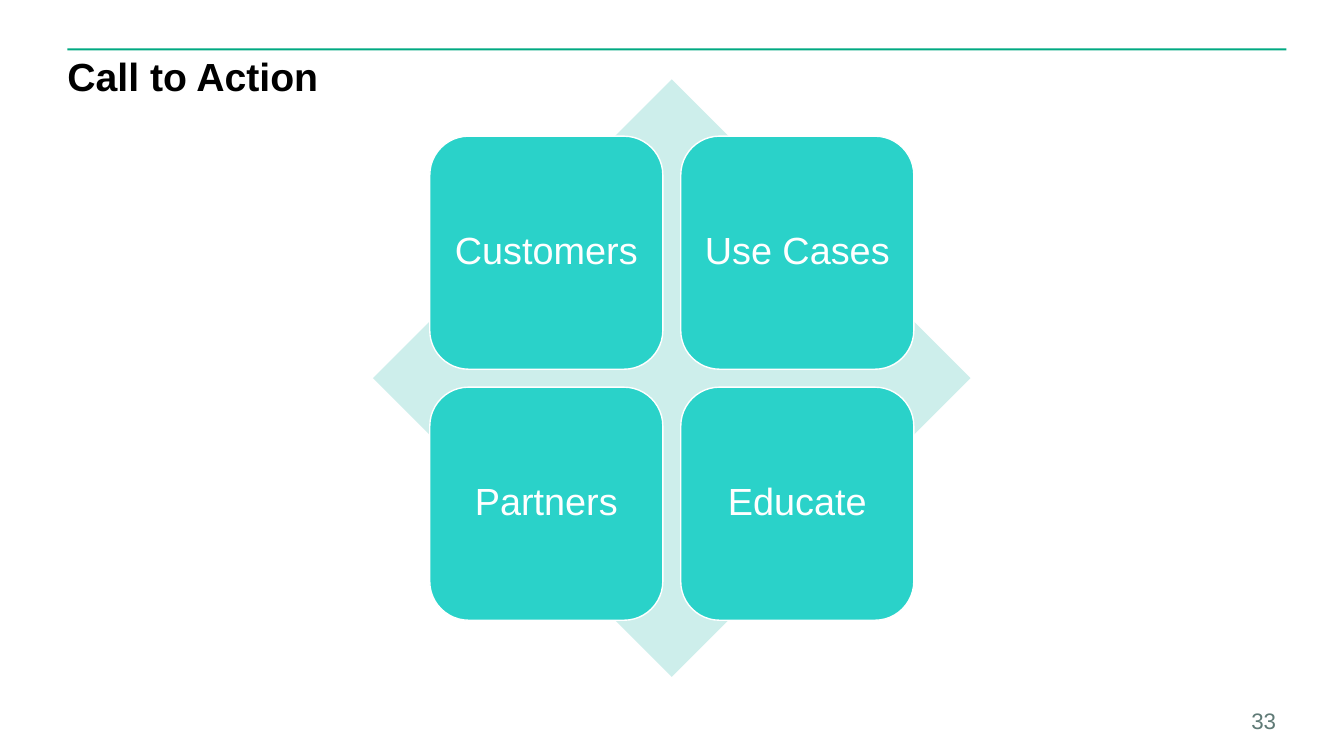
from pptx import Presentation
from pptx.dml.color import RGBColor
from pptx.enum.shapes import MSO_SHAPE
from pptx.enum.text import MSO_ANCHOR, PP_ALIGN
from pptx.util import Cm, Pt

RECT = MSO_SHAPE.RECTANGLE
ROUND = MSO_SHAPE.ROUNDED_RECTANGLE
DIAMOND = MSO_SHAPE.DIAMOND
TOP, MIDDLE, BOTTOM = MSO_ANCHOR.TOP, MSO_ANCHOR.MIDDLE, MSO_ANCHOR.BOTTOM
LEFT, CENTER, RIGHT = PP_ALIGN.LEFT, PP_ALIGN.CENTER, PP_ALIGN.RIGHT

GREEN = RGBColor(0x01, 0xA9, 0x82)
TEAL = RGBColor(0x2A, 0xD2, 0xC9)
PALE = RGBColor(0xCD, 0xEE, 0xEB)
GREY = RGBColor(0x5F, 0x7A, 0x76)
BLACK = RGBColor(0, 0, 0)
WHITE = RGBColor(0xFF, 0xFF, 0xFF)

FONT = "Arial"
CARDS = [["Customers", "Use Cases"], ["Partners", "Educate"]]


def add_block(slide, kind, box, fill, edge=None):
    """Add a filled shape, outlined only when an edge colour is given."""
    shape = slide.shapes.add_shape(kind, *map(Cm, box))
    shape.shadow.inherit = False
    shape.fill.solid()
    shape.fill.fore_color.rgb = fill
    if edge is None:
        shape.line.fill.background()
    else:
        shape.line.color.rgb = edge
        shape.line.width = Pt(1)
    return shape


def set_text(shape, text, size, color, align, anchor, inset=0, bold=False, space=1.0):
    """Write one styled line of text into a shape."""
    frame = shape.text_frame
    frame.text = text
    frame.word_wrap = True
    frame.vertical_anchor = anchor
    frame.margin_left = frame.margin_right = Cm(inset)
    frame.margin_top = frame.margin_bottom = Cm(inset)
    line = frame.paragraphs[0]
    line.alignment = align
    line.line_spacing = space
    font = line.runs[0].font
    font.name, font.size, font.bold = FONT, Pt(size), bold
    font.color.rgb = color


def add_head(slide, box, text):
    """Draw the rule along the top of the box and the title below it."""
    left, top, width, height = box
    add_block(slide, RECT, (left, top, width, 0.05), GREEN)
    title = slide.shapes.add_textbox(Cm(left), Cm(top + 0.23), Cm(width), Cm(height - 0.23))
    set_text(title, text, 28, BLACK, LEFT, TOP, bold=True, space=0.9)


def add_matrix(slide, box, rows):
    """Draw a diamond filling the square box, with a grid of cards over it."""
    left, top, size, _ = box
    add_block(slide, DIAMOND, box, PALE)
    side, pitch, inset = 0.39 * size, 0.42 * size, 0.095 * size
    for row, names in enumerate(rows):
        for col, name in enumerate(names):
            place = (left + inset + col * pitch, top + inset + row * pitch, side, side)
            card = add_block(slide, ROUND, place, TEAL, WHITE)
            set_text(card, name, 27, WHITE, CENTER, MIDDLE, inset=0.1, space=0.9)


def add_foot(slide, box, number):
    """Write the page number at the lower right of the box."""
    page = slide.shapes.add_textbox(*map(Cm, box))
    set_text(page, number, 16, GREY, RIGHT, BOTTOM)


def main():
    """Build the slide and save it."""
    deck = Presentation()
    deck.slide_width, deck.slide_height = Cm(33.87), Cm(19.05)
    slide = deck.slides.add_slide(deck.slide_layouts[6])
    add_head(slide, (1.7, 1.22, 30.72, 2.6), "Call to Action")
    add_foot(slide, (30.68, 17.86, 1.48, 0.63), "33")
    add_matrix(slide, (9.4, 2, 15.06, 15.06), CARDS)
    deck.save("out.pptx")


if __name__ == "__main__":
    main()
